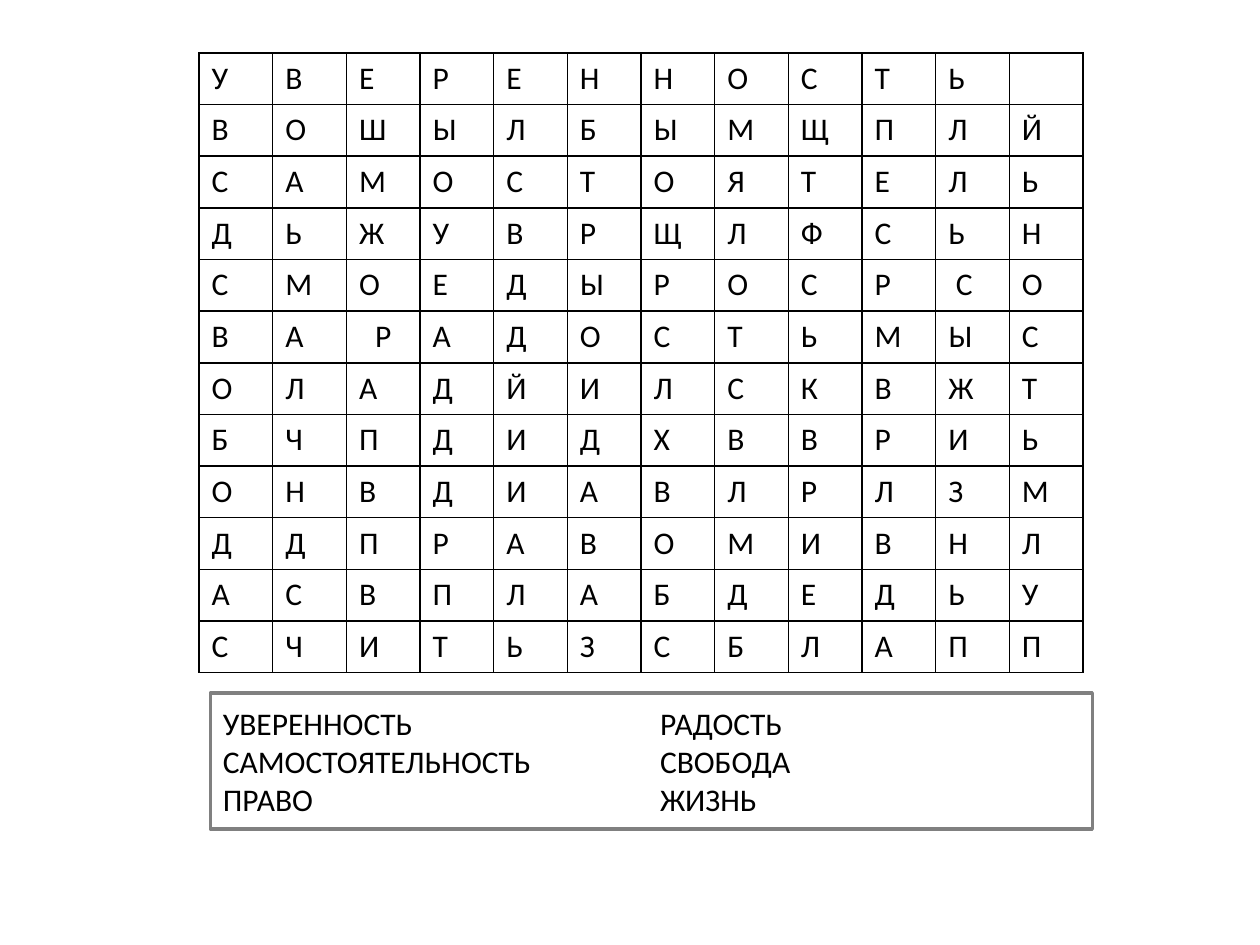
"""Build a word-search slide: a letter grid above a box listing the hidden words."""
from typing import NamedTuple

from lxml.etree import SubElement
from pptx import Presentation
from pptx.dml.color import RGBColor
from pptx.enum.shapes import MSO_SHAPE
from pptx.enum.text import MSO_ANCHOR, PP_ALIGN
from pptx.oxml.ns import qn
from pptx.util import Inches, Pt

COLORS = {"text": "000000", "grid": "000000", "paper": "FFFFFF", "frame": "808080"}
FONT = "Calibri"
LETTERS = [
    "УВЕРЕННОСТЬ",
    "ВОШЫЛБЫМЩПЛЙ",
    "САМОСТОЯТЕЛЬ",
    "ДЬЖУВРЩЛФСЬН",
    "СМОЕДЫРОСРСО",
    "ВАРАДОСТЬМЫС",
    "ОЛАДЙИЛСКВЖТ",
    "БЧПДИДХВВРИЬ",
    "ОНВДИАВЛРЛЗМ",
    "ДДПРАВОМИВНЛ",
    "АСВПЛАБДЕДЬУ",
    "СЧИТЬЗСБЛАПП",
]
WORD_PAIRS = [
    ("УВЕРЕННОСТЬ", "РАДОСТЬ"),
    ("САМОСТОЯТЕЛЬНОСТЬ", "СВОБОДА"),
    ("ПРАВО", "ЖИЗНЬ"),
]
SIZE = 12
INDENTED_CELL = (4, 10)
CENTERED_CELL = (5, 2)


class Box(NamedTuple):
    """Position and size in inches."""

    left: float
    top: float
    width: float
    height: float

    def emu(self) -> tuple:
        """Return the four lengths for python-pptx."""
        return tuple(Inches(v) for v in self)


def rgb(name: str) -> RGBColor:
    """Look up a named colour."""
    return RGBColor.from_string(COLORS[name])


def set_font(p) -> None:
    """Apply the slide's text style to a paragraph."""
    p.font.name = FONT
    p.font.size = Pt(18)
    p.font.bold = False
    p.font.color.rgb = rgb("text")


def set_borders(cell) -> None:
    """Draw a thin line on all four sides of a cell."""
    tc_pr = cell._tc.get_or_add_tcPr()
    for side in ("lnL", "lnR", "lnT", "lnB"):
        ln = SubElement(tc_pr, qn(f"a:{side}"), w=str(Pt(1)))
        fill = SubElement(ln, qn("a:solidFill"))
        SubElement(fill, qn("a:srgbClr"), val=COLORS["grid"])


def add_grid(slide, box: Box) -> None:
    """Add the square letter grid."""
    tbl = slide.shapes.add_table(SIZE, SIZE, *box.emu()).table
    tbl.first_row = tbl.horz_banding = False
    for col in tbl.columns:
        col.width = Inches(box.width / SIZE)
    for i, letters in enumerate(LETTERS):
        tbl.rows[i].height = Inches(box.height / SIZE)
        for j, letter in enumerate(letters.ljust(SIZE)):
            cell = tbl.cell(i, j)
            cell.text = letter.strip()
            set_font(cell.text_frame.paragraphs[0])
            set_borders(cell)
            cell.fill.background()
    tbl.cell(*INDENTED_CELL).margin_left = Inches(0.16)
    tbl.cell(*CENTERED_CELL).text_frame.paragraphs[0].alignment = PP_ALIGN.CENTER


def add_word_box(slide, box: Box, tab: float) -> None:
    """Add the framed word list, its second column on a tab stop."""
    sp = slide.shapes.add_shape(MSO_SHAPE.RECTANGLE, *box.emu())
    sp.shadow.inherit = False
    sp.fill.solid()
    sp.fill.fore_color.rgb = rgb("paper")
    sp.line.color.rgb = rgb("frame")
    sp.line.width = Pt(2)
    tf = sp.text_frame
    tf.word_wrap = True
    tf.vertical_anchor = MSO_ANCHOR.MIDDLE
    tf.text = "\n".join("\t".join(pair) for pair in WORD_PAIRS)
    for p in tf.paragraphs:
        p.alignment = PP_ALIGN.LEFT
        tabs = SubElement(p._p.get_or_add_pPr(), qn("a:tabLst"))
        SubElement(tabs, qn("a:tab"), pos=str(Inches(tab)), algn="l")
        set_font(p)


def main() -> None:
    """Build and save the slide."""
    prs = Presentation()
    prs.slide_width, prs.slide_height = Inches(10), Inches(7.5)
    slide = prs.slides.add_slide(prs.slide_layouts[6])
    add_grid(slide, Box(1.58, 0.42, 7.02, 4.92))
    add_word_box(slide, Box(1.67, 5.5, 7, 1.08), tab=3.47)
    prs.save("out.pptx")


if __name__ == "__main__":
    main()
